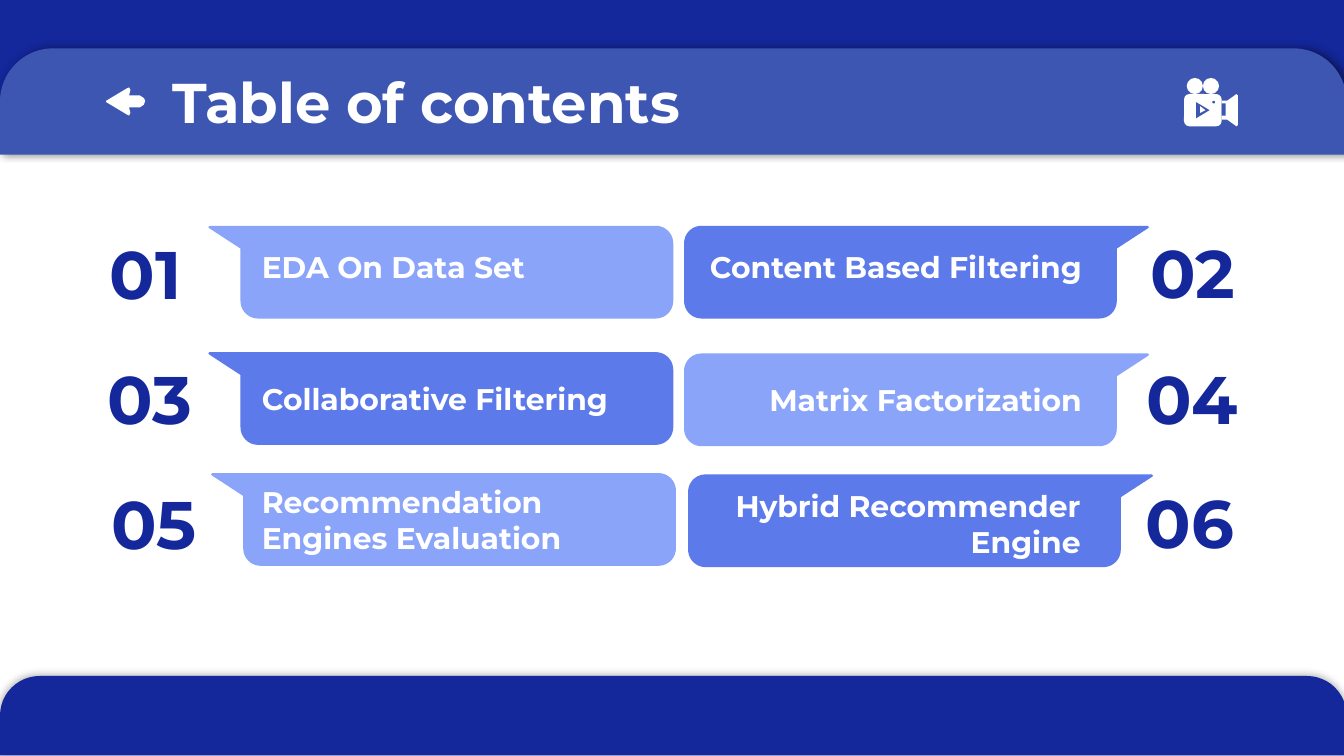
import math

import lxml.etree
import pptx
import pptx.dml.color
import pptx.enum.shapes
import pptx.enum.text
import pptx.oxml.ns
import pptx.util

Inches = pptx.util.Inches
SHAPE = pptx.enum.shapes.MSO_SHAPE
ALIGN = pptx.enum.text.PP_ALIGN
ANCHOR = pptx.enum.text.MSO_ANCHOR

FONT = "Montserrat"
NAVY, BLUE, WHITE = "14279B", "3D56B2", "FFFFFF"
LIGHT, MEDIUM = "8AA4F9", "5C7AEA"
CARD_WIDTH, CARD_HEIGHT = 3.46, 0.69

# number, words, colour, card corner, then offsets of words and number from it
ENTRIES = [
    ("01", "EDA On Data Set", LIGHT, (1.55, 1.68), (0.3, 0.07), (-0.83, -0.01)),
    ("02", "Content Based Filtering", MEDIUM, (5.09, 1.68), (-0.14, 0.07), (2.86, -0.02)),
    ("03", "Collaborative Filtering", MEDIUM, (1.55, 2.62), (0.3, 0.11), (-0.85, -0.02)),
    ("04", "Matrix Factorization", LIGHT, (5.09, 2.63), (-0.14, 0.11), (2.88, -0.03)),
    ("05", "Recommendation Engines Evaluation", LIGHT, (1.57, 3.52), (0.28, -0.02), (-0.84, 0.01)),
    ("06", "Hybrid Recommender Engine", MEDIUM, (5.12, 3.53), (-0.18, 0), (2.82, -0.01)),
]


def paint(shape, colour):
    shape.shadow.inherit = False
    shape.fill.solid()
    shape.fill.fore_color.rgb = pptx.dml.color.RGBColor.from_string(colour)
    shape.line.fill.background()


def add_block(page, kind, box, colour):
    shape = page.shapes.add_shape(kind, *map(Inches, box))
    paint(shape, colour)
    return shape


def add_outline(page, corner, points, colour):
    """Draw a closed polygon whose points are inches from the corner."""
    left, top = corner
    places = [(Inches(left + x), Inches(top + y)) for x, y in points]
    builder = page.shapes.build_freeform(*places[0], scale=1.0)
    builder.add_line_segments(places[1:], close=True)
    paint(builder.convert_to_shape(), colour)


def cast_shadow(shape, opacity, direction):
    effects = shape.element.spPr.find(pptx.oxml.ns.qn("a:effectLst"))
    shadow = lxml.etree.SubElement(
        effects, pptx.oxml.ns.qn("a:outerShdw"),
        blurRad=str(pptx.util.Pt(4.5)), dist=str(pptx.util.Pt(1.5)),
        dir=str(direction * 60000), algn="bl", rotWithShape="0")
    black = lxml.etree.SubElement(shadow, pptx.oxml.ns.qn("a:srgbClr"), val="000000")
    lxml.etree.SubElement(black, pptx.oxml.ns.qn("a:alpha"), val=str(opacity * 1000))


def write(shape, words, size, colour, align=ALIGN.LEFT, anchor=ANCHOR.TOP):
    frame = shape.text_frame
    frame.word_wrap = True
    frame.auto_size = pptx.enum.text.MSO_AUTO_SIZE.NONE
    frame.vertical_anchor = anchor
    frame.margin_left = frame.margin_right = Inches(0.1)
    frame.margin_top = frame.margin_bottom = Inches(0.1)
    para = frame.paragraphs[0]
    para.text = words
    para.alignment = align
    para.font.name = FONT
    para.font.size = pptx.util.Pt(size)
    para.font.bold = True
    para.font.color.rgb = pptx.dml.color.RGBColor.from_string(colour)


def add_band(page, box, colour, opacity, direction):
    """Draw a full-width band with round upper corners."""
    band = add_block(page, SHAPE.ROUND_2_SAME_RECTANGLE, box, colour)
    band.adjustments[0] = 0.5
    band.adjustments[1] = 0
    cast_shadow(band, opacity, direction)


def add_header(page, box):
    left, top, width, height = box
    add_band(page, box, BLUE, 49, 0)

    title = page.shapes.title
    title.left, title.top = Inches(left + 1.18), Inches(top + 0.04)
    title.width, title.height = Inches(8.03), Inches(0.63)
    write(title, "Table of contents", 30, WHITE)
    title.element.getparent().append(title.element)  # bring in front of the band

    arrow = [(0, 0.1), (0.15, 0.01), (0.17, 0), (0.18, 0.02), (0.17, 0.06),
             (0.25, 0.06), (0.28, 0.08), (0.29, 0.1), (0.28, 0.13), (0.25, 0.15),
             (0.17, 0.15), (0.18, 0.19), (0.17, 0.21), (0.15, 0.2), (0, 0.11)]
    add_outline(page, (left + 0.79, top + 0.29), arrow, WHITE)
    add_camera(page, (left + 8.81, top + 0.22))


def add_camera(page, corner):
    left, top = corner
    for reel in (0.02, 0.14):
        add_block(page, SHAPE.OVAL, (left + reel, top, 0.12, 0.12), WHITE)
    add_block(page, SHAPE.ROUNDED_RECTANGLE, (left, top + 0.12, 0.28, 0.24), WHITE)
    lens = [(0.28, 0.17), (0.32, 0.17), (0.39, 0.12), (0.4, 0.13),
            (0.4, 0.35), (0.39, 0.36), (0.32, 0.31), (0.28, 0.31)]
    add_outline(page, corner, lens, WHITE)
    add_outline(page, corner, [(0.09, 0.18), (0.19, 0.24), (0.09, 0.3)], BLUE)
    add_outline(page, corner, [(0.12, 0.21), (0.16, 0.24), (0.12, 0.26)], WHITE)
    add_block(page, SHAPE.RECTANGLE, (left + 0.28, top + 0.19, 0.03, 0.09), BLUE)
    add_block(page, SHAPE.OVAL, (left + 0.21, top + 0.17, 0.02, 0.02), BLUE)


def corner_arc(centre_x, centre_y, radius, start):
    """Points of a quarter circle, turning counterclockwise on the page."""
    angles = [math.radians(start - step * 9) for step in range(11)]
    return [(centre_x + radius * math.cos(a), centre_y + radius * math.sin(a))
            for a in angles]


def add_card(page, box, colour, tail_right):
    """Draw a round-cornered card whose upper outer corner ends in a tail."""
    left, top, width, height = box
    tail, radius = 0.24, 0.13
    points = [(0.01, 0), (0, 0.01), (0.01, 0.02), (tail, 0.17)]
    points += corner_arc(tail + radius, height - radius, radius, 180)
    points += corner_arc(width - radius, height - radius, radius, 90)
    points += corner_arc(width - radius, radius, radius, 0)
    if tail_right:
        points = [(width - x, y) for x, y in points]
    add_outline(page, (left, top), points, colour)


def add_entry(page, box, number, words, colour, words_offset, number_offset):
    left, top, width, height = box
    on_right = number_offset[0] > 0
    align = ALIGN.RIGHT if on_right else ALIGN.LEFT
    add_card(page, box, colour, on_right)
    for text, (dx, dy), size, span, ink, anchor in (
            (words, words_offset, 16, (3.2, 0.47), WHITE, ANCHOR.TOP),
            (number, number_offset, 36, (1.34, 0.76), NAVY, ANCHOR.BOTTOM)):
        label = page.shapes.add_textbox(
            Inches(left + dx), Inches(top + dy), *map(Inches, span))
        write(label, text, size, ink, align, anchor)


def main():
    deck = pptx.Presentation()
    deck.slide_width = Inches(10)
    deck.slide_height = deck.slide_width * 9 // 16
    page = deck.slides.add_slide(deck.slide_layouts[5])
    add_band(page, (0, 5.03, 10.02, 0.59), NAVY, 31, 237)
    add_block(page, SHAPE.RECTANGLE, (0, -0.01, 10.02, 1.02), NAVY)
    add_header(page, (0, 0.36, 10.02, 0.79))
    for number, words, colour, corner, words_offset, number_offset in ENTRIES:
        add_entry(page, (*corner, CARD_WIDTH, CARD_HEIGHT), number, words, colour,
                  words_offset, number_offset)
    deck.save("out.pptx")


if __name__ == "__main__":
    main()
